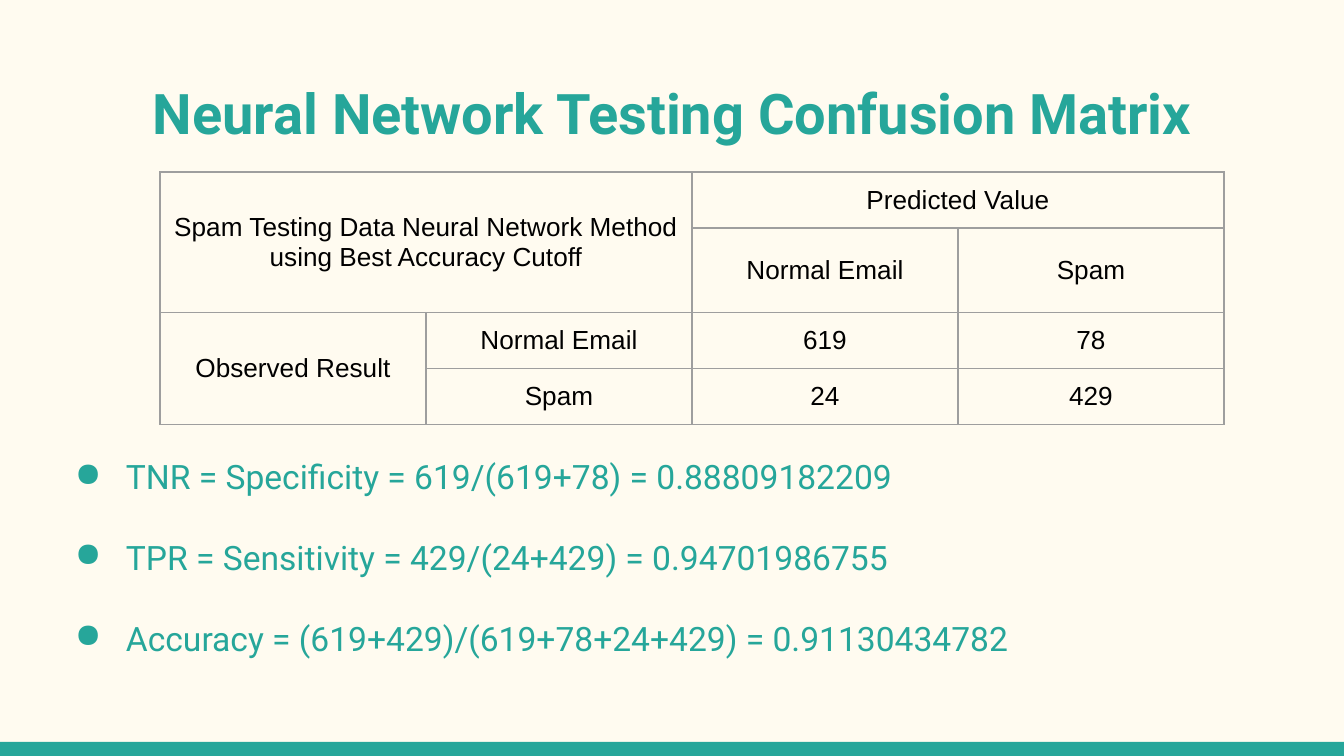
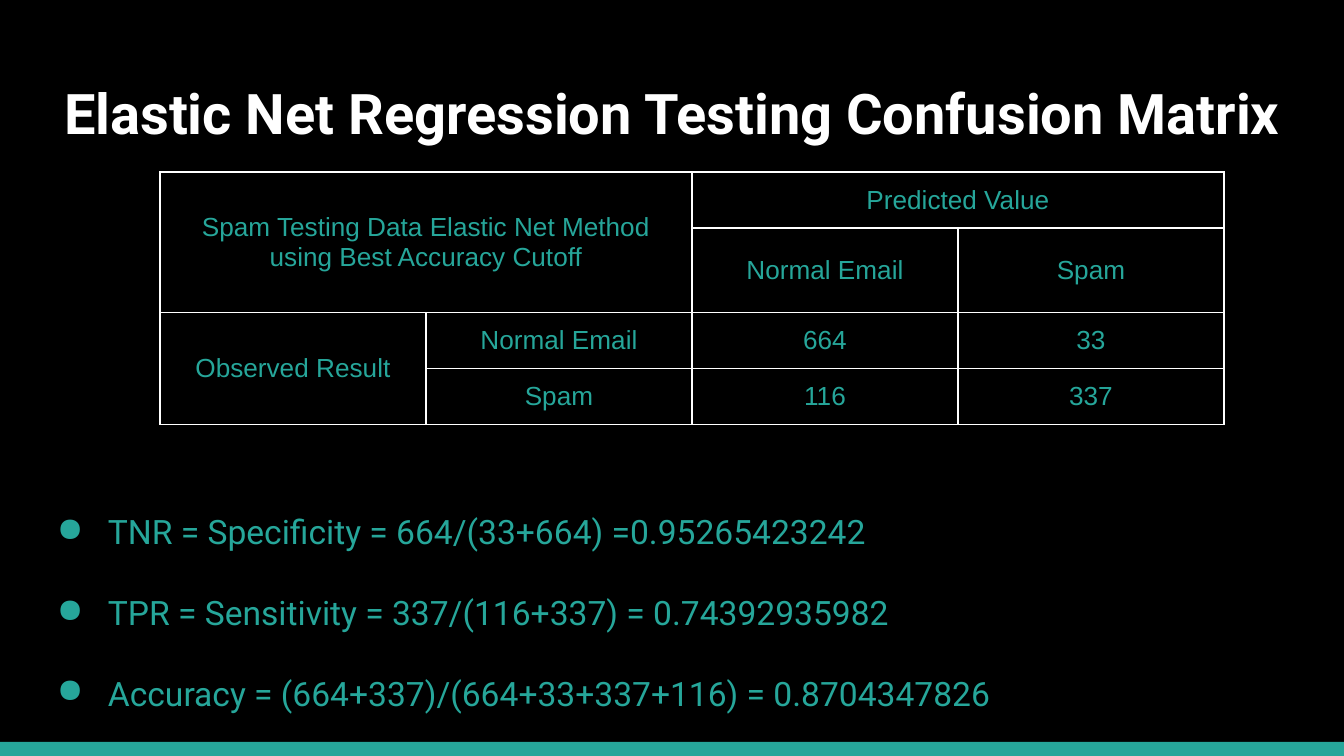
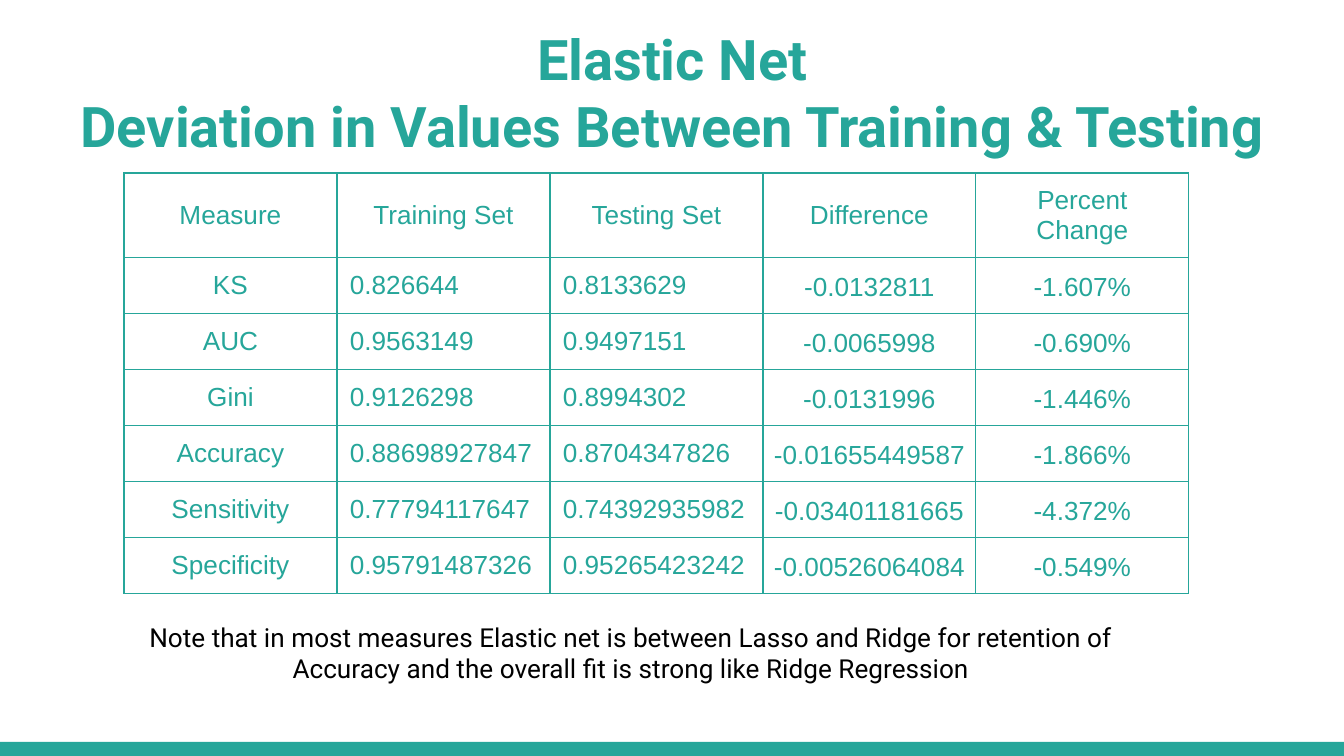
from lxml import etree
from pptx import Presentation
from pptx import util as u
from pptx.dml.color import RGBColor
from pptx.enum import shapes, text
from pptx.oxml.ns import qn

COLORS = {"teal": "26A69A", "cream": "FFFBF0", "black": "000000",
          "white": "FFFFFF", "gray": "9E9E9E"}
SCALE = 914400 / 134.4
INSET = 13
ROW_HEIGHT = 56
CENTER, LEFT = text.PP_ALIGN.CENTER, text.PP_ALIGN.LEFT

MATRICES = [
    {"title": "Neural Network Testing Confusion Matrix",
     "background": "cream", "title_color": "teal",
     "border": "gray", "cell_color": "black",
     "method": "Spam Testing Data Neural Network Method using Best Accuracy Cutoff",
     "normal": ("619", "78"), "spam": ("24", "429"),
     "rates_at": (46, 403),
     "rates": ["TNR = Specificity = 619/(619+78) = 0.88809182209",
               "TPR = Sensitivity = 429/(24+429) = 0.94701986755",
               "Accuracy = (619+429)/(619+78+24+429) = 0.91130434782"]},
    {"title": "Elastic Net Regression Testing Confusion Matrix",
     "background": "black", "title_color": "white",
     "border": "white", "cell_color": "teal",
     "method": "Spam Testing Data Elastic Net Method using Best Accuracy Cutoff",
     "normal": ("664", "33"), "spam": ("116", "337"),
     "rates_at": (28, 458),
     "rates": ["TNR = Specificity = 664/(33+664) =0.95265423242",
               "TPR = Sensitivity = 337/(116+337) = 0.74392935982",
               "Accuracy = (664+337)/(664+33+337+116) = 0.8704347826"]},
]
MERGES = [((0, 0), (1, 1)), ((0, 2), (0, 3)), ((2, 0), (3, 0))]

DEVIATION_TITLE = ["Elastic Net", "Deviation in Values Between Training & Testing"]
DEVIATIONS = [
    ("Measure", "Training Set", "Testing Set", "Difference", "Percent Change"),
    ("KS", "0.826644", "0.8133629", "-0.0132811", "-1.607%"),
    ("AUC", "0.9563149", "0.9497151", "-0.0065998", "-0.690%"),
    ("Gini", "0.9126298", "0.8994302", "-0.0131996", "-1.446%"),
    ("Accuracy", "0.88698927847", "0.8704347826", "-0.01655449587", "-1.866%"),
    ("Sensitivity", "0.77794117647", "0.74392935982", "-0.03401181665", "-4.372%"),
    ("Specificity", "0.95791487326", "0.95265423242", "-0.00526064084", "-0.549%"),
]
NOTE = ("Note that in most measures Elastic net is between Lasso and Ridge for "
        "retention of Accuracy and the overall fit is strong like Ridge Regression")


def px(length):
    return u.Emu(round(length * SCALE))


def rgb(name):
    return RGBColor.from_string(COLORS[name])


def add_color(parent, color):
    etree.SubElement(parent, qn("a:srgbClr"), val=COLORS[color])


def add_bullet(para, color):
    props = para._p.get_or_add_pPr()
    props.set("marL", str(px(67)))
    props.set("indent", str(px(-51)))
    add_color(etree.SubElement(props, qn("a:buClr")), color)
    etree.SubElement(props, qn("a:buChar"), char="●")


def set_insets(target, across, down):
    target.margin_left = target.margin_right = px(across)
    target.margin_top = target.margin_bottom = px(down)


def write(frame, lines, size=14, font="Arial", color="teal", bold=False,
          align=CENTER, spacing=None, bullet=False):
    for index, line in enumerate(lines):
        para = frame.add_paragraph() if index else frame.paragraphs[0]
        para.alignment = align
        if spacing:
            para.line_spacing = spacing
        if bullet:
            add_bullet(para, color)
        span = para.add_run()
        span.text = line
        span.font.size = u.Pt(size)
        span.font.name = font
        span.font.bold = bold
        span.font.color.rgb = rgb(color)


def prepare(frame):
    frame.word_wrap = True
    frame.auto_size = text.MSO_AUTO_SIZE.NONE
    frame.vertical_anchor = text.MSO_ANCHOR.TOP
    set_insets(frame, INSET, INSET)


def add_page(deck, title, background, color, top):
    page = deck.slides.add_slide(deck.slide_layouts[5])
    page.background.fill.solid()
    page.background.fill.fore_color.rgb = rgb(background)
    band = page.shapes.add_shape(shapes.MSO_SHAPE.RECTANGLE,
                                 0, px(742), px(1344), px(14))
    band.shadow.inherit = False
    band.fill.solid()
    band.fill.fore_color.rgb = rgb("teal")
    band.line.fill.background()
    box = page.shapes.title
    box.left, box.top, box.width, box.height = map(px, (46, top, 1253, 90))
    prepare(box.text_frame)
    write(box.text_frame, title, size=30, font="Roboto", color=color, bold=True)
    return page


def add_text(page, place, lines, **style):
    box = page.shapes.add_textbox(*map(px, place))
    prepare(box.text_frame)
    write(box.text_frame, lines, font="Roboto", **style)


def add_borders(cell, color):
    props = cell._tc.get_or_add_tcPr()
    for side in ("lnL", "lnR", "lnT", "lnB"):
        line = etree.SubElement(props, qn("a:" + side), w=str(u.Pt(0.75)))
        add_color(etree.SubElement(line, qn("a:solidFill")), color)


def add_grid(page, left, top, column_width, rows, border, color, merges=(), style=None):
    width, height = column_width * len(rows[0]), ROW_HEIGHT * len(rows)
    table = page.shapes.add_table(len(rows), len(rows[0]),
                                  *map(px, (left, top, width, height))).table
    table.first_row = table.horz_banding = False
    for column in table.columns:
        column.width = px(column_width)
    for r, row in enumerate(rows):
        table.rows[r].height = px(ROW_HEIGHT)
        for c, value in enumerate(row):
            cell = table.cell(r, c)
            add_borders(cell, border)
            cell.fill.background()
            cell.vertical_anchor = text.MSO_ANCHOR.MIDDLE
            insets, layout = style(r, c) if style else ((INSET, INSET), {})
            set_insets(cell, *insets)
            if value:
                write(cell.text_frame, [value], color=color, **layout)
    for first, last in merges:
        table.cell(*first).merge(table.cell(*last))


def deviation_style(row, column):
    if row and column >= 3:
        return (4, 3), {"spacing": 1.15}
    return (INSET, INSET), {"align": LEFT if row and column else CENTER}


def add_matrix_page(deck, matrix):
    page = add_page(deck, [matrix["title"]], matrix["background"],
                    matrix["title_color"], 66)
    rows = [(matrix["method"], None, "Predicted Value", None),
            (None, None, "Normal Email", "Spam"),
            ("Observed Result", "Normal Email", *matrix["normal"]),
            (None, "Spam", *matrix["spam"])]
    add_grid(page, 160, 172, 266, rows, matrix["border"], matrix["cell_color"], MERGES)
    add_text(page, (*matrix["rates_at"], 1253, 269), matrix["rates"],
             size=18, align=LEFT, spacing=2.0, bullet=True)


def add_deviation_page(deck):
    page = add_page(deck, DEVIATION_TITLE, "white", "teal", 11)
    add_grid(page, 124, 173, 213, DEVIATIONS, "teal", "teal", style=deviation_style)
    add_text(page, (105, 608, 1052, 118), [NOTE], color="black")


def main():
    deck = Presentation()
    deck.slide_width, deck.slide_height = px(1344), px(756)
    for matrix in MATRICES:
        add_matrix_page(deck, matrix)
    add_deviation_page(deck)
    deck.save("out.pptx")


if __name__ == "__main__":
    main()
